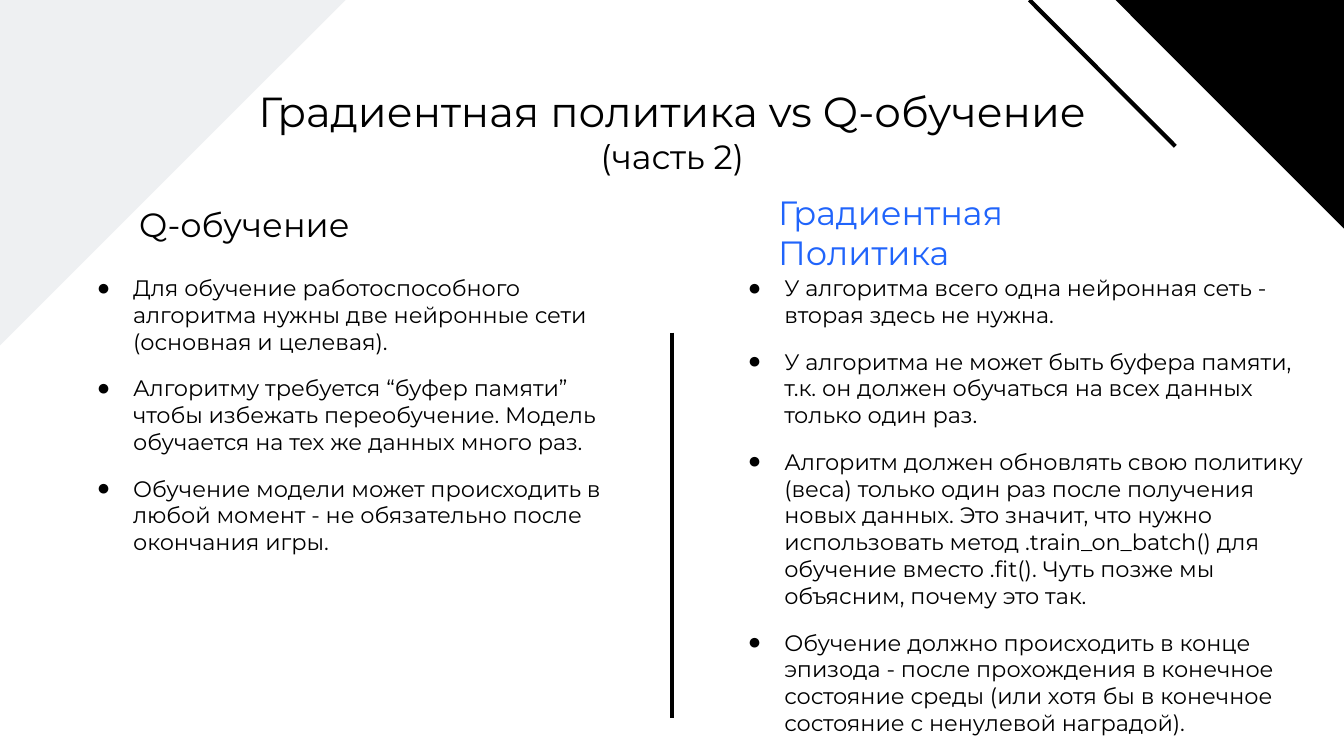
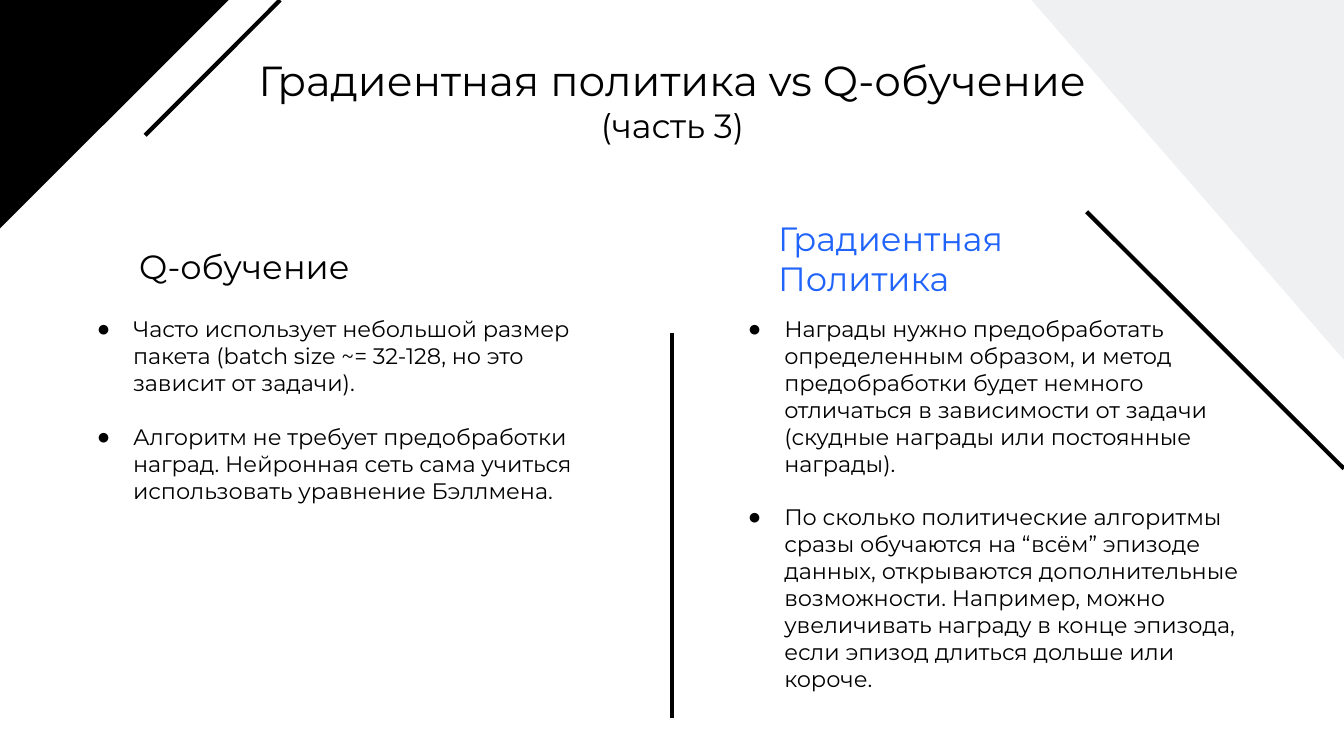
from lxml.etree import SubElement
from pptx import Presentation
from pptx.dml.color import RGBColor
from pptx.enum.shapes import MSO_CONNECTOR, MSO_SHAPE
from pptx.enum.text import MSO_ANCHOR, MSO_AUTO_SIZE, PP_ALIGN
from pptx.oxml.ns import qn
from pptx.util import Inches, Pt

WIDTH, HEIGHT = Inches(13.33), Inches(7.5)
FONT = "Montserrat"
BLACK, BLUE, PALE = "000000", "2064FB", "EEF0F2"
TITLE_SIZE, HEADING_SIZE, BODY_SIZE = 30, 24, 16
COMPARISON_LAYOUT = 4
TITLE = "Градиентная политика vs Q-обучение"
Q_HEADING = ["Q-обучение"]
POLICY_HEADING = ["Градиентная", "Политика"]

COMPARISONS = [
    {
        "part": "(часть 2)",
        "title_top": 9.2,
        "heading_tops": (25.6, 24),
        "body_top": 34.95,
        "body_gap": 14,
        "policy_width": 43.95,
        "corners": [("left", 25.7, 45.7, PALE), ("right", 17, 30.25, BLACK)],
        "rules": [((87.45, 19.35), (76.6, 0))],
        "q_points": [
            "Для обучение работоспособного алгоритма нужны две нейронные сети (основная и целевая).",
            "Алгоритму требуется “буфер памяти” чтобы избежать переобучение. "
            "Модель обучается на тех же данных много раз.",
            "Обучение модели может происходить в любой момент - не обязательно после окончания игры.",
        ],
        "policy_points": [
            "У алгоритма всего одна нейронная сеть - вторая здесь не нужна.",
            "У алгоритма не может быть буфера памяти, т.к. он должен обучаться "
            "на всех данных только один раз.",
            "Алгоритм должен обновлять свою политику (веса) только один раз после получения "
            "новых данных. Это значит, что нужно использовать метод .train_on_batch() для "
            "обучение вместо .fit(). Чуть позже мы объясним, почему это так.",
            "Обучение должно происходить в конце эпизода - после прохождения в конечное "
            "состояние среды (или хотя бы в конечное состояние с ненулевой наградой).",
        ],
    },
    {
        "part": "(часть 3)",
        "title_top": 5.1,
        "heading_tops": (31.2, 27.5),
        "body_top": 40.4,
        "body_gap": 19.2,
        "policy_width": 39.7,
        "corners": [("right", 23.25, 47.6, PALE), ("left", 17, 30.25, BLACK)],
        "rules": [((80.85, 28), (100, 62)), ((10.8, 17.9), (20.85, 0))],
        "q_points": [
            "Часто использует небольшой размер пакета (batch size ~= 32-128, "
            "но это зависит от задачи).",
            "Алгоритм не требует предобработки наград. Нейронная сеть сама учиться "
            "использовать уравнение Бэллмена.",
        ],
        "policy_points": [
            "Награды нужно предобработать определенным образом, и метод предобработки будет "
            "немного отличаться в зависимости от задачи (скудные награды или постоянные награды).",
            "По сколько политические алгоритмы сразы обучаются на “всём” эпизоде данных, "
            "открываются дополнительные возможности. Например, можно увеличивать награду "
            "в конце эпизода, если эпизод длиться дольше или короче.",
        ],
    },
]


def across(percent):
    return round(WIDTH * percent / 100)


def down(percent):
    return round(HEIGHT * percent / 100)


def rgb(color):
    return RGBColor.from_string(color)


def style(paragraph, size, color=BLACK):
    font = paragraph.font
    font.name, font.size, font.bold = FONT, Pt(size), False
    font.color.rgb = rgb(color)


def place(holder, left, top, width, height, anchor=MSO_ANCHOR.TOP, inset=0.1):
    holder.left, holder.top = across(left), down(top)
    holder.width, holder.height = across(width), down(height)
    frame = holder.text_frame
    frame.word_wrap = True
    frame.auto_size = MSO_AUTO_SIZE.NONE
    frame.vertical_anchor = anchor
    frame.margin_left = frame.margin_right = Inches(0.1)
    frame.margin_top = frame.margin_bottom = Inches(inset)
    return frame


def write(frame, lines):
    frame.text = "\n".join(lines)
    for paragraph in frame.paragraphs:
        paragraph.space_before = Pt(0)
    return frame.paragraphs


def add_bullet(paragraph):
    properties = paragraph._p.get_or_add_pPr()
    properties.set("marL", str(Inches(0.5)))
    properties.set("indent", str(Inches(-0.36)))
    bullet_color = SubElement(properties, qn("a:buClr"))
    SubElement(bullet_color, qn("a:srgbClr"), val=BLACK)
    SubElement(properties, qn("a:buChar"), char="●")


def fill_title(holder, part, top):
    frame = place(holder, 14.1, top, 71.85, 16.15, MSO_ANCHOR.MIDDLE, 0.05)
    for paragraph, size in zip(write(frame, [TITLE, part]), (TITLE_SIZE, HEADING_SIZE)):
        paragraph.alignment = PP_ALIGN.CENTER
        style(paragraph, size)


def fill_heading(holder, lines, left, top, color):
    for paragraph in write(place(holder, left, top, 24.6, 10.8), lines):
        style(paragraph, HEADING_SIZE, color)


def fill_points(holder, points, left, top, width, gap):
    frame = place(holder, left, top, width, 100 - top)
    for number, paragraph in enumerate(write(frame, points)):
        if number:
            paragraph.space_before = Pt(gap)
        add_bullet(paragraph)
        style(paragraph, BODY_SIZE)


def add_corner(slide, side, width, height, color):
    left = 0 if side == "left" else 100 - width
    corner = slide.shapes.add_shape(
        MSO_SHAPE.RIGHT_TRIANGLE, across(left), 0, across(width), down(height))
    corner.rotation = 90 if side == "left" else 180
    corner.shadow.inherit = False
    corner.fill.solid()
    corner.fill.fore_color.rgb = rgb(color)
    corner.line.fill.background()


def add_rule(slide, start, end):
    rule = slide.shapes.add_connector(
        MSO_CONNECTOR.STRAIGHT, across(start[0]), down(start[1]), across(end[0]), down(end[1]))
    rule.line.color.rgb = rgb(BLACK)
    rule.line.width = Pt(3)
    SubElement(rule._element.spPr, qn("a:effectLst"))


def add_comparison(deck, content):
    slide = deck.slides.add_slide(deck.slide_layouts[COMPARISON_LAYOUT])
    title, q_heading, q_body, policy_heading, policy_body = slide.placeholders
    q_top, policy_top = content["heading_tops"]
    top, gap = content["body_top"], content["body_gap"]
    fill_title(title, content["part"], content["title_top"])
    fill_heading(q_heading, Q_HEADING, 9.6, q_top, BLACK)
    fill_heading(policy_heading, POLICY_HEADING, 57.15, policy_top, BLUE)
    fill_points(q_body, content["q_points"], 5.4, top, 40.35, gap)
    fill_points(policy_body, content["policy_points"], 53.85, top, content["policy_width"], gap)
    for corner in content["corners"]:
        add_corner(slide, *corner)
    for start, end in [((50, 44), (50, 94.95)), *content["rules"]]:
        add_rule(slide, start, end)


def main():
    deck = Presentation()
    deck.slide_width, deck.slide_height = WIDTH, HEIGHT
    for content in COMPARISONS:
        add_comparison(deck, content)
    deck.save("out.pptx")


if __name__ == "__main__":
    main()
